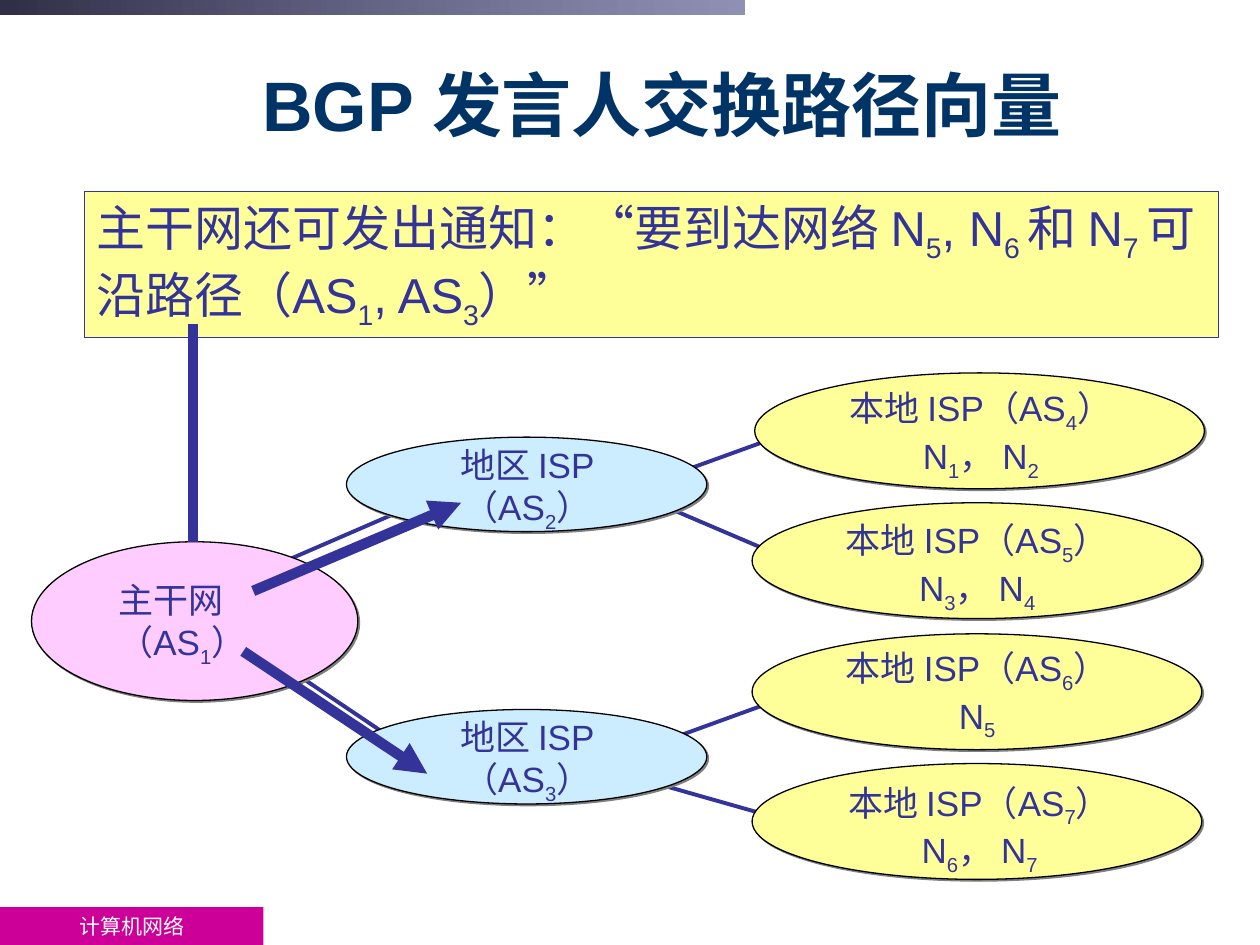
from lxml.etree import SubElement
from pptx import Presentation
from pptx.dml.color import RGBColor
from pptx.enum.lang import MSO_LANGUAGE_ID
from pptx.enum.shapes import MSO_CONNECTOR, MSO_SHAPE
from pptx.enum.text import MSO_ANCHOR, MSO_AUTO_SIZE, PP_ALIGN
from pptx.oxml.ns import qn
from pptx.util import Pt

COLORS = {
    "ink": "333399", "title": "003366", "outline": "000000", "shadow": "808080",
    "backbone": "FFCCFF", "regional": "CCECFF", "local": "FFFF99",
    "footer": "CC0099", "white": "FFFFFF", "bar_dark": "2F2F47", "bar_light": "666699",
}

REGIONAL_TOPS = (249.8, 405.4)
LOCAL_SIZE = (257, 66.2)
# ellipse left, ellipse top, label left, label top, label lines
LOCAL_NETWORKS = [
    (431.3, 213.1, 468.7, 217.4, ["本地 ISP（AS_4_）", "N_1_， N_2"]),
    (429.8, 287.3, 466.6, 293, ["本地 ISP（AS_5_）", "N_3_， N_4"]),
    (429.8, 362.2, 466.6, 365.8, ["本地 ISP（AS_6_）", "N_5"]),
    (429.8, 436.3, 468, 442.8, ["本地 ISP（AS_7_）", "N_6_， N_7"]),
]
LINKS = [
    (146.9, 327.6, 243.4, 285.8), (146.9, 370.1, 236.9, 430.6),
    (378, 273.6, 461.5, 243.4), (371.5, 285.8, 455.8, 321.8),
    (378, 424.1, 461.5, 393.8), (378, 448.6, 461.5, 472.3),
]
ROUTES = [(144.7, 337.7, 263.5, 287.3), (139, 372.2, 244.1, 442.1)]


def rgb(name):
    return RGBColor.from_string(COLORS[name])


def add_figure(page, kind, bounds, fill=None, line=None):
    figure = page.shapes.add_shape(kind, *map(Pt, bounds))
    figure.shadow.inherit = False
    if fill:
        figure.fill.solid()
        figure.fill.fore_color.rgb = rgb(fill)
    if line:
        figure.line.color.rgb = rgb(line)
        figure.line.width = Pt(0.75)
    else:
        figure.line.fill.background()
    return figure


def add_network(page, bounds, fill):
    """Outlined ellipse with a small hard shadow to the lower right."""
    ellipse = add_figure(page, MSO_SHAPE.OVAL, bounds, fill, "outline")
    effects = ellipse._element.spPr.find(qn("a:effectLst"))
    shadow = SubElement(effects, qn("a:outerShdw"), dist=str(Pt(1.4)),
                        dir="2700000", algn="ctr", rotWithShape="0")
    SubElement(shadow, qn("a:srgbClr"), val=COLORS["shadow"])


def write(shape, lines, size, color="ink", align=PP_ALIGN.CENTER,
          anchor=MSO_ANCHOR.TOP, wrap=True, font="Arial", bold=False):
    """Fill a shape with text; underscores switch subscript on and off."""
    frame = shape.text_frame
    frame.word_wrap = wrap
    frame.auto_size = MSO_AUTO_SIZE.NONE
    frame.vertical_anchor = anchor
    for index, line in enumerate(lines):
        para = frame.add_paragraph() if index else frame.paragraphs[0]
        para.alignment = align
        for position, piece in enumerate(line.split("_")):
            if not piece:
                continue
            span = para.add_run()
            span.text = piece
            span.font.name = font
            span.font.size = Pt(size)
            span.font.bold = bold
            span.font.color.rgb = rgb(color)
            span.font.language_id = MSO_LANGUAGE_ID.SIMPLIFIED_CHINESE
            if position % 2:
                span.font._element.set("baseline", "-25000")


def add_label(page, bounds, lines, size=20, wrap=False, **style):
    box = page.shapes.add_textbox(*map(Pt, bounds))
    write(box, lines, size, wrap=wrap, **style)


def add_line(page, ends, width, arrow=False):
    line = page.shapes.add_connector(MSO_CONNECTOR.STRAIGHT, *map(Pt, ends))
    line.line.color.rgb = rgb("ink")
    line.line.width = Pt(width)
    if arrow:
        SubElement(line.line._get_or_add_ln(), qn("a:tailEnd"), type="triangle")
    SubElement(line._element.spPr, qn("a:effectLst"))


def add_frame(page):
    """Footer block, gradient bar and title."""
    footer = add_figure(page, MSO_SHAPE.RECTANGLE, (0, 518.4, 150.5, 21.6), "footer")
    write(footer, ["计算机网络"], 12, "white", anchor=MSO_ANCHOR.MIDDLE,
          font="Times New Roman")
    bar = add_figure(page, MSO_SHAPE.RECTANGLE, (0, 0, 425.5, 8.6))
    bar.fill.gradient()
    bar.fill.gradient_angle = 0
    for stop, color in zip(bar.fill.gradient_stops, ("bar_dark", "bar_light")):
        stop.color.rgb = rgb(color)
    light = bar._element.spPr.findall(".//" + qn("a:srgbClr"))[-1]
    SubElement(light, qn("a:alpha"), val="72000")
    add_label(page, (71.5, 25.9, 613.4, 66.2), ["BGP 发言人交换路径向量"], 40,
              wrap=True, color="title", anchor=MSO_ANCHOR.MIDDLE, bold=True)


def add_networks(page):
    for top in REGIONAL_TOPS:
        add_network(page, (198, top, 205.9, 54), "regional")
    add_network(page, (18, 309.6, 186.5, 90.7), "backbone")
    for left, top, *_ in LOCAL_NETWORKS:
        add_network(page, (left, top, *LOCAL_SIZE), "local")
    add_label(page, (60.5, 326.9, 97.2, 59), ["主干网", "（AS_1_）"],
              align=PP_ALIGN.LEFT)
    for number, top in enumerate(REGIONAL_TOPS, 2):
        add_label(page, (252.7, top, 97.2, 59), ["地区 ISP", f"（AS_{number}_）"])
    for _, _, left, top, lines in LOCAL_NETWORKS:
        add_label(page, (left, top, 183.6, 61.9), lines)


def add_notice(page):
    notice = add_figure(page, MSO_SHAPE.RECTANGLE, (48.2, 109.4, 648, 83.5),
                        "local", "ink")
    write(notice, ["主干网还可发出通知：“要到达网络 N_5_, N_6 _和 N_7 _"
                   "可沿路径（AS_1_, AS_3_）”"], 28, align=PP_ALIGN.LEFT)
    add_line(page, (110.2, 185, 110.2, 309.6), 6)


def main():
    deck = Presentation()
    deck.slide_width, deck.slide_height = Pt(720), Pt(540)
    page = deck.slides.add_slide(deck.slide_layouts[6])
    add_frame(page)
    for ends in LINKS:
        add_line(page, ends, 2.25)
    add_networks(page)
    add_notice(page)
    for ends in ROUTES:
        add_line(page, ends, 6, arrow=True)
    deck.save("out.pptx")


if __name__ == "__main__":
    main()
